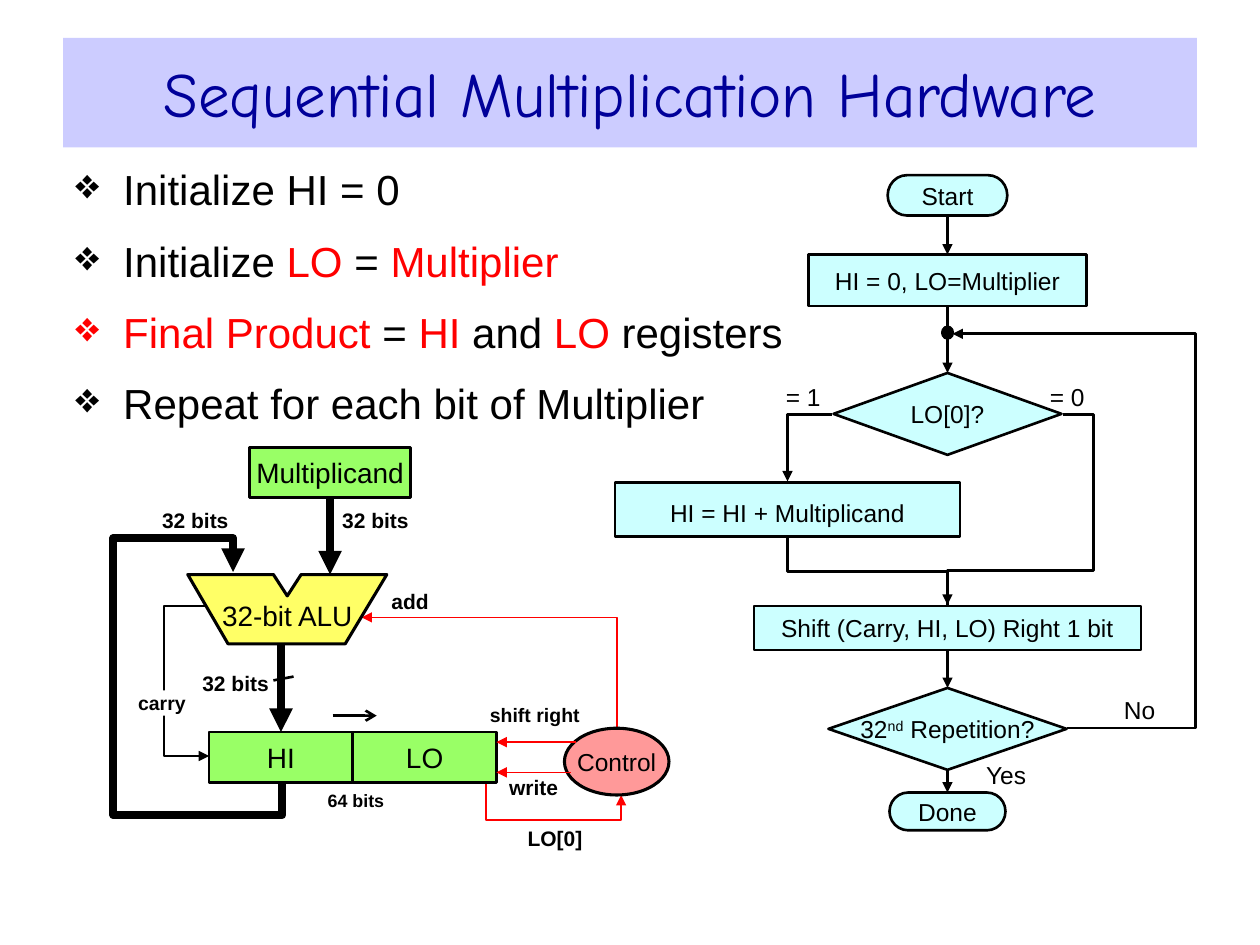
"""Build a slide on sequential multiplication: bullets, data path and flow chart."""
from dataclasses import dataclass
from typing import Any, Optional

from lxml.etree import SubElement
from pptx import Presentation
from pptx.dml.color import RGBColor as Rgb
from pptx.enum.shapes import MSO_CONNECTOR as Link, MSO_SHAPE as Kind
from pptx.enum.text import MSO_ANCHOR as Anchor, PP_ALIGN as Align
from pptx.oxml.ns import qn
from pptx.util import Inches, Pt

HUES = {"black": "000000", "white": "FFFFFF", "red": "FF0000", "navy": "000099",
        "lilac": "CCCCFF", "cyan": "CCFFFF", "green": "99FF66",
        "yellow": "FFFF66", "pink": "FF9999"}
Point = tuple[float, float]
Area = tuple[float, float, float, float]
MID = 7.52


@dataclass
class Box:
    name: str
    text: str
    area: Area
    fill: str
    kind: Any = Kind.RECTANGLE
    size: float = 14
    line: Optional[float] = 1.5
    bold: bool = False
    space: float = 1


@dataclass
class Label:
    text: str
    area: Area
    size: float = 12
    bold: bool = True


@dataclass
class Wire:
    start: Point
    end: Point
    hue: str = "black"
    width: float = 1.5
    tip: Optional[str] = "triangle"
    source: Optional[str] = None
    target: Optional[str] = None


@dataclass
class Bend:
    start: Point
    end: Point
    kind: str
    turn: int = 0
    adjust: tuple[float, ...] = ()
    tip: Optional[str] = "triangle"


@dataclass
class Trail:
    points: list[Point]
    hue: str = "black"
    width: float = 1
    head: Optional[str] = None
    tail: Optional[str] = "triangle"
    fill: Optional[str] = None


def color(name: str) -> Rgb:
    return Rgb.from_string(HUES[name])


def centered(x: float, y: float, wide: float, high: float) -> Area:
    return x - wide / 2, y, wide, high


def style(font: Any, size: float, hue: str = "black", bold: bool = False,
          face: str = "Arial") -> None:
    font.name, font.size, font.bold = face, Pt(size), bold
    font.color.rgb = color(hue)


def write(shape: Any, text: str, size: float, bold: bool = False, space: float = 1) -> None:
    frame = shape.text_frame
    frame.word_wrap = False
    frame.vertical_anchor = Anchor.MIDDLE
    frame.margin_left = frame.margin_right = 0
    frame.margin_top = frame.margin_bottom = 0
    para = frame.paragraphs[0]
    para.alignment, para.line_spacing = Align.CENTER, space
    for spot, part in enumerate(text.split("^")):
        run = para.add_run()
        run.text = part
        if spot % 2:
            run._r.get_or_add_rPr().set("baseline", "30000")
    style(para.font, size, bold=bold)


def stroke(shape: Any, hue: str, width: float, head: Optional[str] = None,
           tail: Optional[str] = None) -> None:
    shape.line.color.rgb = color(hue)
    shape.line.width = Pt(width)
    for tag, tip in (("a:headEnd", head), ("a:tailEnd", tail)):
        if tip:
            SubElement(shape.line._get_or_add_ln(), qn(tag), type=tip)


def draw_box(shapes: Any, box: Box) -> Any:
    shape = shapes.add_shape(box.kind, *map(Inches, box.area))
    shape.shadow.inherit = False
    shape.fill.solid()
    shape.fill.fore_color.rgb = color(box.fill)
    if box.line:
        stroke(shape, "black", box.line)
    else:
        shape.line.fill.background()
    write(shape, box.text, box.size, box.bold, box.space)
    return shape


def draw_label(shapes: Any, label: Label) -> None:
    write(shapes.add_textbox(*map(Inches, label.area)), label.text, label.size, label.bold)


def link(shapes: Any, kind: Any, start: Point, end: Point) -> Any:
    line = shapes.add_connector(kind, *map(Inches, start + end))
    SubElement(line._element.spPr, qn("a:effectLst"))
    return line


def draw_wire(shapes: Any, wire: Wire, boxes: dict[str, Any]) -> None:
    line = link(shapes, Link.STRAIGHT, wire.start, wire.end)
    if wire.source:
        line.begin_connect(boxes[wire.source], 2)
    if wire.target:
        line.end_connect(boxes[wire.target], 0)
    stroke(line, wire.hue, wire.width, tail=wire.tip)


def draw_bend(shapes: Any, bend: Bend) -> None:
    line = link(shapes, Link.ELBOW, bend.start, bend.end)
    props = line._element.spPr
    props.find(qn("a:xfrm")).set("rot", str(bend.turn * 60000))
    shape = props.find(qn("a:prstGeom"))
    shape.set("prst", bend.kind)
    for spot, value in enumerate(bend.adjust, 1):
        SubElement(shape.find(qn("a:avLst")), qn("a:gd"), name=f"adj{spot}",
                   fmla=f"val {round(value * 100000)}")
    stroke(line, "black", 1.5, tail=bend.tip)


def draw_trail(shapes: Any, trail: Trail) -> None:
    first, *rest = [(Inches(x), Inches(y)) for x, y in trail.points]
    pen = shapes.build_freeform(*first)
    pen.add_line_segments(rest, close=bool(trail.fill))
    shape = pen.convert_to_shape()
    shape.shadow.inherit = False
    if trail.fill:
        shape.fill.solid()
        shape.fill.fore_color.rgb = color(trail.fill)
    else:
        shape.fill.background()
    stroke(shape, trail.hue, trail.width, trail.head, trail.tail)


def draw_title(shape: Any) -> None:
    shape.left, shape.top, shape.width, shape.height = map(Inches, (0.5, 0.3, 9, 0.87))
    shape.fill.solid()
    shape.fill.fore_color.rgb = color("lilac")
    write(shape, "Sequential Multiplication Hardware", 36)
    style(shape.text_frame.paragraphs[0].font, 36, "navy", face="Comic Neue")


def draw_list(shapes: Any) -> None:
    frame = shapes.add_textbox(*map(Inches, (0.5, 1.25, 9, 2.46))).text_frame
    frame.word_wrap = True
    for spot, parts in enumerate(BULLETS):
        para = frame.paragraphs[0] if spot == 0 else frame.add_paragraph()
        props = para._p.get_or_add_pPr()
        props.set("marL", str(Inches(0.38)))
        props.set("indent", str(-Inches(0.38)))
        para.space_before = Pt(12 if spot else 0)
        SubElement(SubElement(props, qn("a:buClr")), qn("a:srgbClr"), val=HUES[parts[0][1]])
        SubElement(props, qn("a:buChar"), char="❖")
        style(para.font, 24)
        for text, hue in parts:
            run = para.add_run()
            run.text = text
            run.font.color.rgb = color(hue)


BULLETS = [
    [("Initialize HI = 0", "black")],
    [("Initialize ", "black"), ("LO", "red"), (" = ", "black"), ("Multiplier", "red")],
    [("Final Product", "red"), (" =", "black"), (" HI ", "red"), ("and", "black"),
     (" LO ", "red"), ("registers", "black")],
    [("Repeat for each bit of Multiplier", "black")]]
TRAILS = [
    Trail([(2.25, 4.81), (1.3, 4.81), (1.3, 6), (1.66, 6)], head="oval"),
    Trail([(2.24, 6.2), (2.24, 6.47), (0.9, 6.47), (0.9, 4.27), (1.85, 4.27), (1.85, 4.54)],
          width=4.5),
    Trail([(3.86, 6.19), (3.86, 6.51), (4.93, 6.51), (4.93, 6.31)], "red"),
    Trail([(4.9, 5.82), (4.9, 4.9), (2.87, 4.9)], "red"),
    Trail([(3.07, 4.56), (2.39, 4.56), (2.28, 4.73), (2.17, 4.56), (1.49, 4.56),
           (1.81, 5.11), (2.74, 5.11)], width=1.75, tail=None, fill="yellow")]
BOXES = [
    Box("start", "Start", centered(MID, 1.39, 0.95, 0.32), "cyan", Kind.FLOWCHART_TERMINATOR),
    Box("init", "HI = 0, LO=Multiplier", centered(MID, 2.02, 2.21, 0.41), "cyan"),
    Box("join", "", centered(MID, 2.59, 0.09, 0.1), "black", Kind.OVAL, line=1),
    Box("test", "LO[0]?", centered(MID, 2.96, 1.81, 0.65), "cyan", Kind.FLOWCHART_DECISION),
    Box("sum", "HI = HI + Multiplicand", (4.88, 3.83, 2.74, 0.43), "cyan", space=1.2),
    Box("shift", "Shift (Carry, HI, LO) Right 1 bit", centered(MID, 4.81, 3.07, 0.35), "cyan"),
    Box("count", "32^nd^ Repetition?", centered(MID, 5.46, 1.89, 0.65), "cyan",
        Kind.FLOWCHART_DECISION),
    Box("done", "Done", centered(MID, 6.29, 0.92, 0.3), "cyan", Kind.FLOWCHART_TERMINATOR),
    Box("input", "Multiplicand", (1.98, 3.55, 1.28, 0.4), "green", size=16),
    Box("high", "HI", (1.66, 5.81, 1.14, 0.4), "green", size=16),
    Box("low", "LO", (2.8, 5.81, 1.14, 0.4), "green", size=16),
    Box("control", "Control", (4.48, 5.78, 0.83, 0.53), "pink", Kind.OVAL, line=1.75),
    Box("carry", "carry", (1.03, 5.48, 0.51, 0.2), "white", size=11.1, line=None, bold=True)]
WIRES = [
    Wire((MID, 1.71), (MID, 2.02), source="start", target="init"),
    Wire((MID, 2.43), (MID, 2.96), source="init", target="test"),
    Wire((MID, 5.16), (MID, 5.46), source="shift", target="count"),
    Wire((MID, 6.11), (MID, 6.29), source="count", target="done"),
    Wire((2.62, 3.95), (2.62, 4.56), width=4.5, source="input"),
    Wire((2.23, 5.1), (2.23, 5.81), width=4.5, target="high"),
    Wire((4.57, 5.89), (3.94, 5.89), "red", 1),
    Wire((4.53, 6.13), (3.94, 6.13), "red", 1),
    Wire((2.64, 5.68), (2.99, 5.68), tip="arrow"),
    Wire((2.17, 5.4), (2.33, 5.37), tip=None)]
BENDS = [
    Bend((6.25, 3.82), (6.6, 3.29), "bentConnector2", 180),
    Bend((7.15, 3.9), (6.62, 5.17), "bentConnector3", 270, (0.5,)),
    Bend((8.44, 3.29), (MID, 4.8), "bentConnector4", 0, (-0.26, 0.82), None),
    Bend((8.47, 5.78), (7.56, 2.65), "bentConnector4", 0, (-1.12, 1))]
LABELS = [
    Label("= 1", (6.14, 2.98, 0.47, 0.34), 14, False),
    Label("= 0", (8.23, 2.98, 0.48, 0.34), 14, False),
    Label("No", (8.82, 5.46, 0.45, 0.34), 14, False),
    Label("Yes", (7.72, 5.98, 0.53, 0.34), 14, False),
    Label("32-bit ALU", (1.69, 4.69, 1.18, 0.39), 16, False),
    Label("32 bits", (1.26, 4.03, 0.58, 0.2)), Label("32 bits", (2.69, 4.03, 0.58, 0.2)),
    Label("32 bits", (1.58, 5.32, 0.58, 0.2)), Label("64 bits", (2.54, 6.27, 0.57, 0.17), 10.2),
    Label("add", (3, 4.67, 0.51, 0.2)), Label("write", (3.98, 6.15, 0.51, 0.2)),
    Label("shift right", (3.76, 5.58, 0.97, 0.18), 11.1),
    Label("LO[0]", (3.92, 6.55, 0.97, 0.2))]


def main() -> None:
    deck = Presentation()
    deck.slide_width, deck.slide_height = Inches(10), Inches(7.5)
    shapes = deck.slides.add_slide(deck.slide_layouts[5]).shapes
    draw_title(shapes.title)
    draw_list(shapes)
    for trail in TRAILS:
        draw_trail(shapes, trail)
    boxes = {box.name: draw_box(shapes, box) for box in BOXES}
    for wire in WIRES:
        draw_wire(shapes, wire, boxes)
    for bend in BENDS:
        draw_bend(shapes, bend)
    for label in LABELS:
        draw_label(shapes, label)
    deck.save("out.pptx")


if __name__ == "__main__":
    main()
